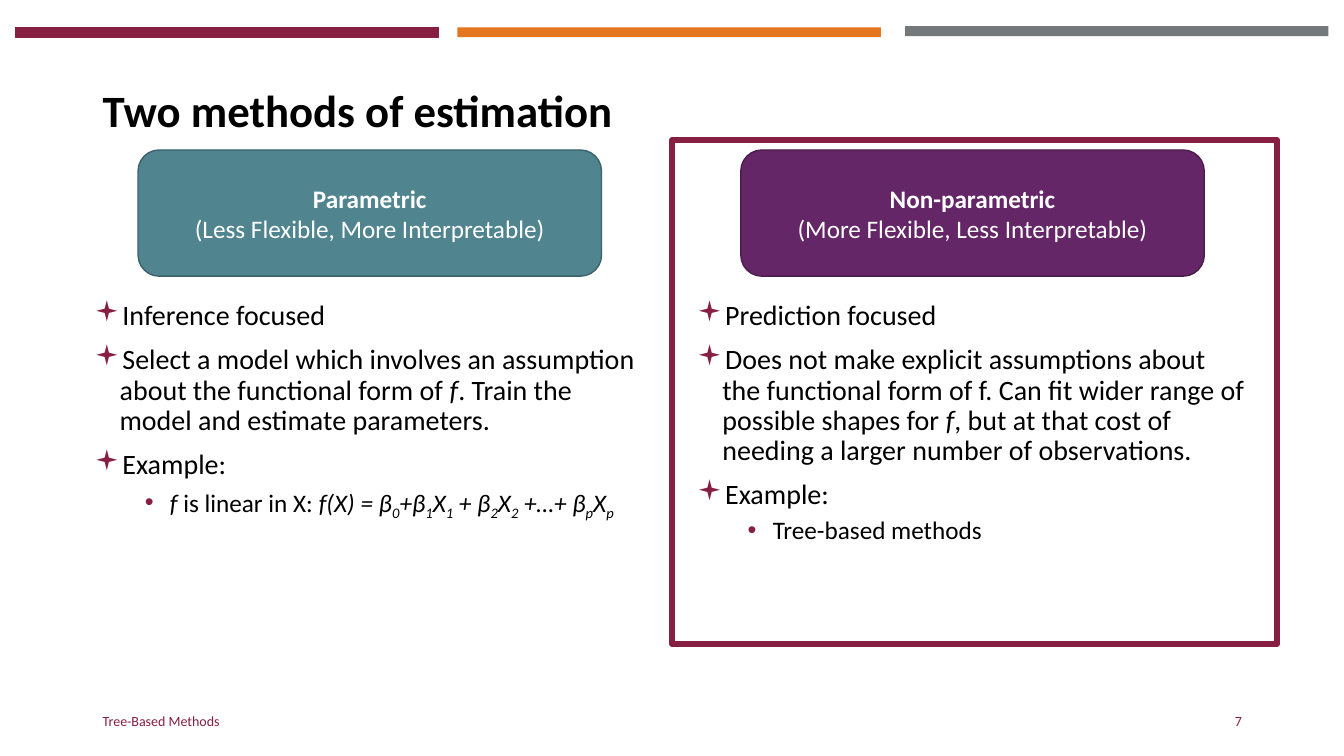
from lxml.etree import SubElement
from pptx import Presentation
from pptx.dml.color import RGBColor
from pptx.enum.shapes import MSO_SHAPE
from pptx.enum.text import MSO_ANCHOR, PP_ALIGN
from pptx.oxml.ns import qn
from pptx.util import Cm, Pt

MAROON, ORANGE, GRAY = "861F41", "E5751F", "75787B"

PARAMETRIC = [
    (0, "Inference focused"),
    (0, "Select a model which involves an assumption about the functional form of "
        "*f*. Train the model and estimate parameters."),
    (0, "Example:"),
    (1, "*f *is linear in X: *f(X) = β_0_+β_1_X_1_ + β_2_X_2_ +…+ β_p_X_p_*"),
]
NON_PARAMETRIC = [
    (0, "Prediction focused"),
    (0, "Does not make explicit assumptions about the functional form of f. Can fit "
        "wider range of possible shapes for *f*, but at that cost of needing a larger "
        "number of observations."),
    (0, "Example:"),
    (1, "Tree-based methods"),
]


def rgb(value):
    return RGBColor.from_string(value)


def write(p, text, size=20, color="000000", bold=False, align=PP_ALIGN.LEFT):
    p.alignment = align
    for i, slanted in enumerate(text.split("*")):
        for j, part in enumerate(slanted.split("_")):
            if not part:
                continue
            r = p.add_run()
            r.text = part
            r.font.name = "Calibri"
            r.font.size = Pt(size)
            r.font.bold = bold
            r.font.italic = i % 2 == 1
            r.font.color.rgb = rgb(color)
            if j % 2:
                r.font._element.set("baseline", "-25000")


def add_text(slide, left, top, width, height, anchor=MSO_ANCHOR.MIDDLE):
    tf = slide.shapes.add_textbox(Cm(left), Cm(top), Cm(width), Cm(height)).text_frame
    tf.word_wrap = True
    tf.vertical_anchor = anchor
    return tf


def add_box(slide, kind, left, top, width, height, fill=None, line=None, weight=1):
    sp = slide.shapes.add_shape(kind, Cm(left), Cm(top), Cm(width), Cm(height))
    sp.shadow.inherit = False
    if fill:
        sp.fill.solid()
        sp.fill.fore_color.rgb = rgb(fill)
    else:
        sp.fill.background()
    if line:
        sp.line.color.rgb = rgb(line)
        sp.line.width = Pt(weight)
    else:
        sp.line.fill.background()
    return sp


def add_bullet(p, level):
    p.level = level
    pPr = p._p.get_or_add_pPr()
    pPr.set("marL", str(Cm(0.635 + 1.27 * level)))
    pPr.set("indent", str(-Cm(0.635)))
    SubElement(SubElement(pPr, qn("a:buClr")), qn("a:srgbClr")).set("val", MAROON)
    SubElement(pPr, qn("a:buFont")).set("typeface", "Arial" if level else "Wingdings")
    SubElement(pPr, qn("a:buChar")).set("char", "•" if level else "▪")


def add_bars(slide):
    for left, top, fill, line in ((0.38, 0.69, MAROON, MAROON),
                                  (11.53, 0.69, ORANGE, None),
                                  (22.81, 0.66, GRAY, None)):
        add_box(slide, MSO_SHAPE.RECTANGLE, left, top, 10.67, 0.25, fill, line, 0.75)


def add_title(slide, left, top, width, height):
    p = add_text(slide, left, top, width, height).paragraphs[0]
    p.line_spacing = 0.9
    write(p, "Two methods of estimation", size=32, bold=True)


def add_method(slide, left, top, name, summary, fill, line, points):
    tf = add_text(slide, left, top + 3.69, 14.4, 9.14, MSO_ANCHOR.TOP)
    for i, (level, text) in enumerate(points):
        p = tf.paragraphs[0] if i == 0 else tf.add_paragraph()
        add_bullet(p, level)
        p.line_spacing = 0.9
        if i:
            p.space_before = Pt(5 if level else 10)
        write(p, text, size=18 if level else 20)

    sp = add_box(slide, MSO_SHAPE.ROUNDED_RECTANGLE, left + 1.35, top, 11.68, 3.18, fill, line)
    tf = sp.text_frame
    tf.word_wrap = True
    tf.vertical_anchor = MSO_ANCHOR.MIDDLE
    white = dict(size=18, color="FFFFFF", align=PP_ALIGN.CENTER)
    write(tf.paragraphs[0], name, bold=True, **white)
    write(tf.add_paragraph(), summary, **white)


def add_footer(slide, left, top, width, height):
    label = add_text(slide, left, top, 11.43, height)
    write(label.paragraphs[0], "Tree-Based Methods", size=10, color=MAROON)
    number = add_text(slide, left + width - 7.62, top, 7.62, height)
    write(number.paragraphs[0], "7", size=10, color=MAROON, align=PP_ALIGN.RIGHT)


def main():
    prs = Presentation()
    prs.slide_width, prs.slide_height = Cm(33.87), Cm(19.05)
    slide = prs.slides.add_slide(prs.slide_layouts[6])
    add_bars(slide)
    add_title(slide, 2.34, 1.02, 29.21, 3.68)
    add_method(slide, 2.13, 3.78, "Parametric", "(Less Flexible, More Interpretable)",
               "508590", "3B626B", PARAMETRIC)
    add_method(slide, 17.32, 3.78, "Non-parametric", "(More Flexible, Less Interpretable)",
               "642667", "4A1C4C", NON_PARAMETRIC)
    add_footer(slide, 2.34, 17.65, 29.21, 1.02)
    add_box(slide, MSO_SHAPE.RECTANGLE, 16.94, 3.53, 15.24, 12.7, line=MAROON, weight=4.5)
    prs.save("out.pptx")


if __name__ == "__main__":
    main()
